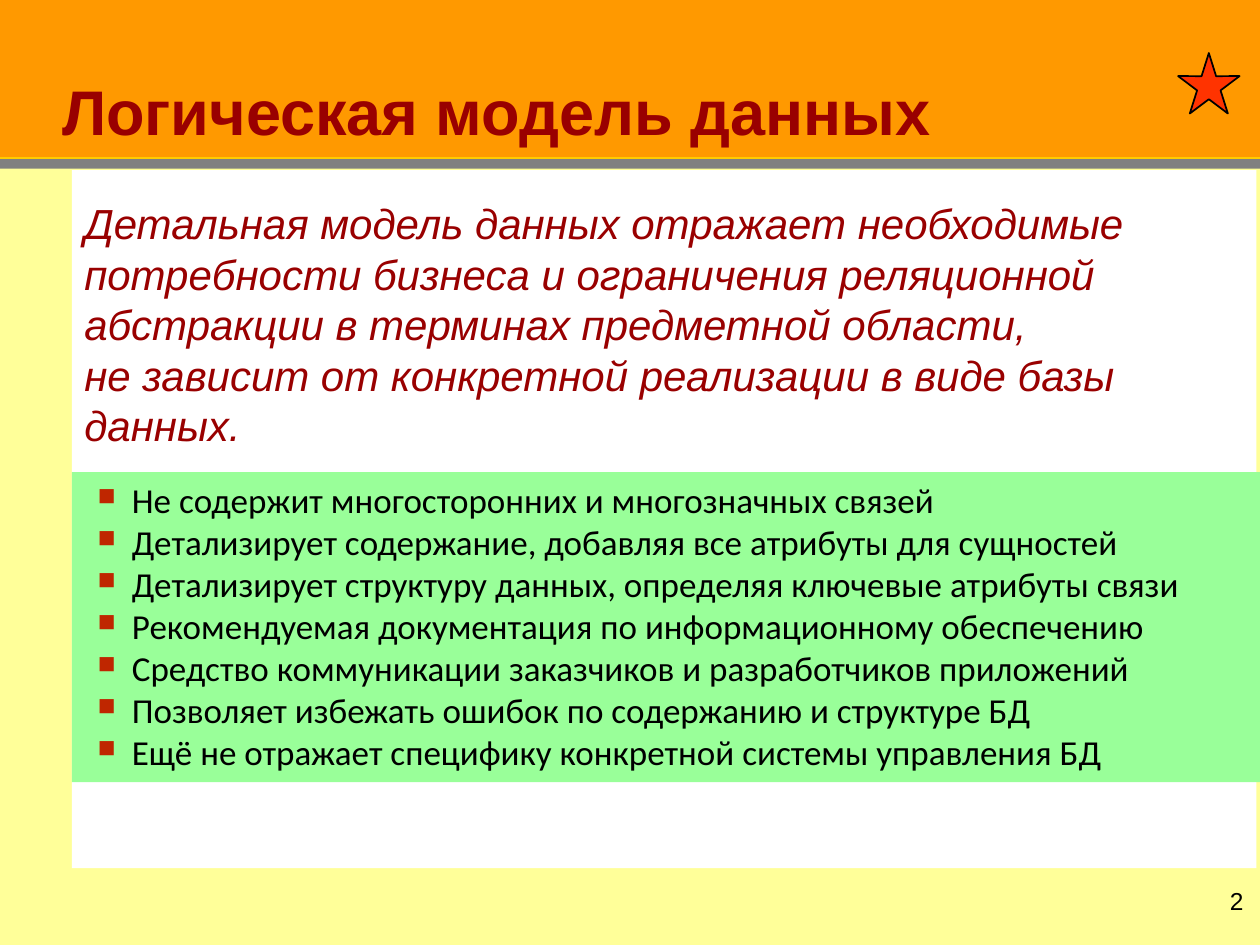
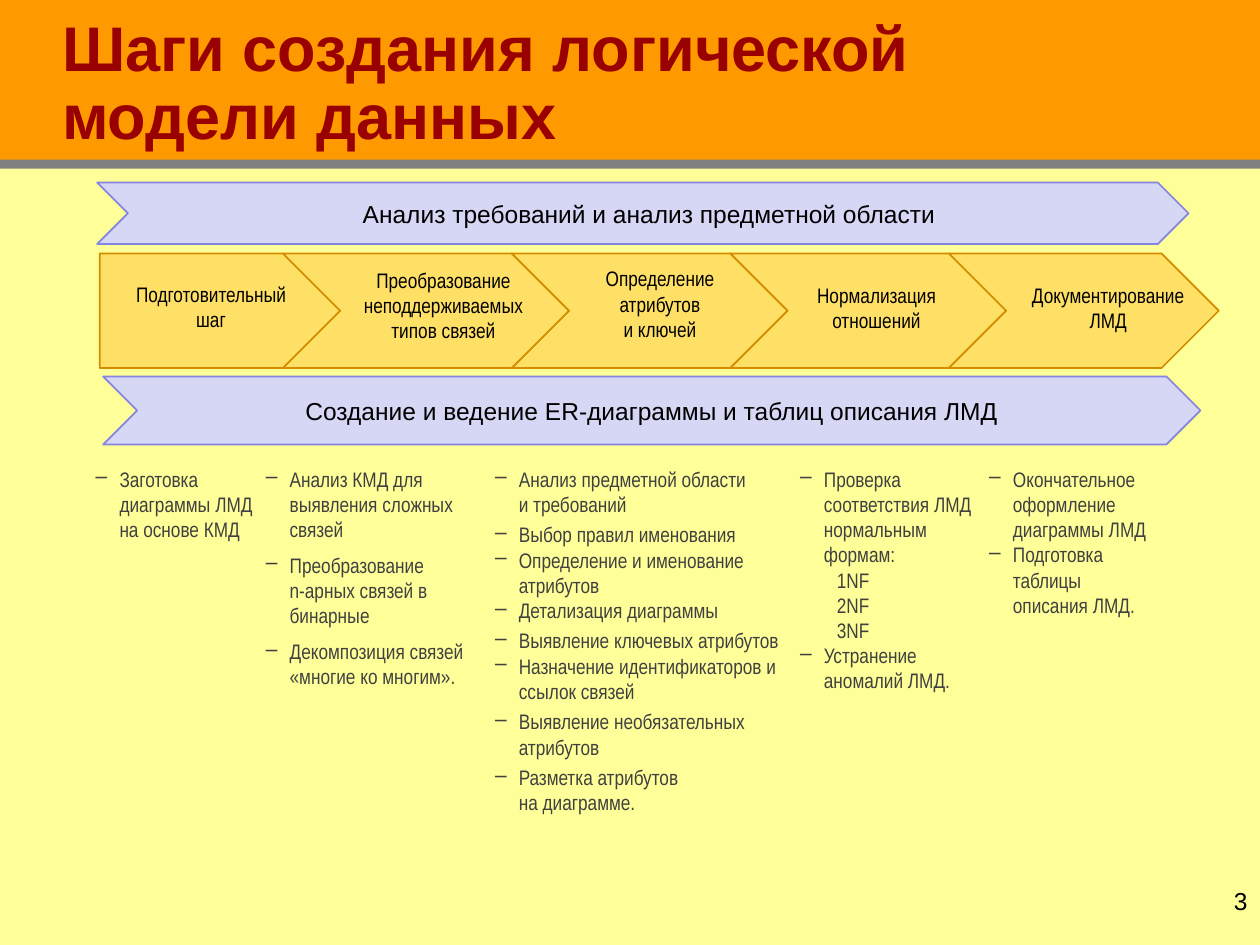
from collections import namedtuple
from copy import deepcopy
from dataclasses import dataclass

from lxml import etree
from pptx import Presentation
from pptx.dml.color import RGBColor
from pptx.enum.shapes import MSO_CONNECTOR, MSO_SHAPE
from pptx.enum.text import MSO_ANCHOR, MSO_AUTO_SIZE, PP_ALIGN
from pptx.oxml.ns import qn
from pptx.util import Cm, Pt

RECTANGLE = MSO_SHAPE.RECTANGLE
PENTAGON = MSO_SHAPE.PENTAGON
CHEVRON = MSO_SHAPE.CHEVRON
STAR = MSO_SHAPE.STAR_5_POINT
LEFT, CENTER, RIGHT = PP_ALIGN.LEFT, PP_ALIGN.CENTER, PP_ALIGN.RIGHT
TOP, MIDDLE, BOTTOM = MSO_ANCHOR.TOP, MSO_ANCHOR.MIDDLE, MSO_ANCHOR.BOTTOM


@dataclass(frozen=True)
class Theme:
    header: str = "FF9900"
    page: str = "FFFF99"
    divider: str = "808080"
    header_line: str = "FFCC00"
    accent_text: str = "990000"
    text: str = "000000"
    soft_text: str = "404040"
    panel: str = "FFFFFF"
    features: str = "99FF99"
    bullet: str = "BF2600"
    star: str = "FF3300"
    step: str = "FFE066"
    step_line: str = "D48C00"
    phase: str = "D6D6F5"
    phase_line: str = "8585E0"
    font: str = "Arial"
    narrow_font: str = "Arial Narrow"
    list_font: str = "Calibri"
    title_size: int = 36
    lead_size: int = 24
    list_size: int = 20
    label_size: int = 14
    step_size: int = 12


THEME = Theme()
SLIDE_WIDTH, SLIDE_HEIGHT = 25.4, 19.05
HEADER_HEIGHT = 3.18
Item = namedtuple("Item", "text after bullet indent", defaults=(0, "–", 0.48))
Step = namedtuple("Step", "width label label_box column_left column_width items")

MODEL_TITLE = "Логическая модель данных"
MODEL_DEFINITION = (
    "Детальная модель данных отражает необходимые потребности бизнеса "
    "и ограничения реляционной абстракции в терминах предметной области,\n"
    "не зависит от конкретной реализации в виде базы данных."
)
MODEL_FEATURES = [
    "Не содержит многосторонних и многозначных связей",
    "Детализирует содержание, добавляя все атрибуты для сущностей",
    "Детализирует структуру данных, определяя ключевые атрибуты связи",
    "Рекомендуемая документация по информационному обеспечению",
    "Средство коммуникации заказчиков и разработчиков приложений",
    "Позволяет избежать ошибок по содержанию и структуре БД",
    "Ещё не отражает специфику конкретной системы управления БД",
]

STEPS_TITLE = "Шаги создания логической\nмодели данных"
# text, box, left indent
PHASES = [
    ("Анализ требований и анализ предметной области", (1.96, 3.68, 22, 1.24), 0.25),
    ("Создание и ведение ER-диаграммы и таблиц описания ЛМД", (2.08, 7.59, 22.12, 1.37), 0),
]
# label_box holds left, top and width
STEPS = [
    Step(4.85, "Подготовительный шаг", (2.39, 5.54, 3.73), 1.68, 3.78, [
        Item("Заготовка\nдиаграммы ЛМД\nна основе КМД", 6),
    ]),
    Step(5.77, "Преобразование неподдерживаемых типов связей", (7.01, 5.26, 3.86), 5.11, 4.88, [
        Item("Анализ КМД для выявления сложных связей", 6),
        Item("Преобразование\nn-арных связей в бинарные", 6),
        Item("Декомпозиция связей «многие ко многим».", 6),
    ]),
    Step(5.56, "Определение атрибутов\nи ключей", (11.91, 5.23, 2.79), 9.73, 6.53, [
        Item("Анализ предметной области\nи требований", 3),
        Item("Выбор правил именования"),
        Item("Определение и именование атрибутов"),
        Item("Детализация диаграммы", 3),
        Item("Выявление ключевых атрибутов"),
        Item("Назначение идентификаторов и ссылок связей", 3),
        Item("Выявление необязательных атрибутов", 3),
        Item("Разметка атрибутов\nна диаграмме.", 3),
    ]),
    Step(5.56, "Нормализация отношений", (15.93, 5.56, 3.48), 15.88, 4.01, [
        Item("Проверка соответствия ЛМД нормальным формам:"),
        *[Item(form, bullet=None, indent=0.74) for form in ("1NF", "2NF", "3NF")],
        Item("Устранение аномалий ЛМД."),
    ]),
    Step(5.44, "Документирование ЛМД", (20.5, 5.56, 3.68), 19.69, 3.76, [
        Item("Окончательное оформление диаграммы ЛМД"),
        Item("Подготовка таблицы описания ЛМД."),
    ]),
]
STEP_LEFT, STEP_TOP, STEP_HEIGHT = 2.01, 5.11, 2.31
COLUMN_TOP = 9.27


def rgb(color):
    return RGBColor.from_string(color)


def set_bullet(paragraph, item, hanging, color=None, percent=None):
    properties = paragraph._p.get_or_add_pPr()
    properties.set("marL", str(Cm(item.indent)))
    if not item.bullet:
        return
    properties.set("indent", str(-Cm(hanging)))
    if color:
        holder = etree.SubElement(properties, qn("a:buClr"))
        etree.SubElement(holder, qn("a:srgbClr")).set("val", color)
    if percent:
        etree.SubElement(properties, qn("a:buSzPct")).set("val", str(percent * 1000))
    etree.SubElement(properties, qn("a:buChar")).set("char", item.bullet)


def write(shape, content, *, size, font=THEME.font, color=THEME.text, bold=False,
          italic=False, align=LEFT, anchor=TOP, line_spacing=None, hanging=0.48,
          bullet_color=None, bullet_percent=None, margin_left=0.25, margin_top=0.13):
    """Fill a shape with a string or a list of Items, all in one format."""
    frame = shape.text_frame
    frame.word_wrap = True
    frame.auto_size = MSO_AUTO_SIZE.NONE
    frame.vertical_anchor = anchor
    frame.margin_left, frame.margin_right = Cm(margin_left), Cm(0.25)
    frame.margin_top, frame.margin_bottom = Cm(margin_top), Cm(0.13)
    items = [Item(content, bullet=None, indent=0)] if isinstance(content, str) else content
    for index, item in enumerate(items):
        paragraph = frame.add_paragraph() if index else frame.paragraphs[0]
        paragraph.text = item.text.replace("\n", "\v")
        set_bullet(paragraph, item, hanging, bullet_color, bullet_percent)
        paragraph.alignment = align
        paragraph.space_before = Pt(0)
        paragraph.space_after = Pt(item.after)
        if line_spacing:
            paragraph.line_spacing = line_spacing
        for run in paragraph.runs:
            run.font.name, run.font.size = font, Pt(size)
            run.font.bold, run.font.italic = bold, italic
            run.font.color.rgb = rgb(color)
        run_format = paragraph._p.find(".//" + qn("a:rPr"))
        for line_break in paragraph._p.findall(qn("a:br")):
            line_break.insert(0, deepcopy(run_format))


def add_box(slide, kind, box, fill, line=None):
    shape = slide.shapes.add_shape(kind, *map(Cm, box))
    shape.shadow.inherit = False
    shape.fill.solid()
    shape.fill.fore_color.rgb = rgb(fill)
    if line:
        shape.line.color.rgb = rgb(line)
        shape.line.width = Pt(1)
    else:
        shape.line.fill.background()
    return shape


def add_text(slide, box, content, **text_format):
    write(slide.shapes.add_textbox(*map(Cm, box)), content, **text_format)


def move_bands_to_layout(slide):
    """Draw the shared bands on a fresh slide, then hand them to its layout."""
    page_height = SLIDE_HEIGHT - HEADER_HEIGHT
    bands = [
        add_box(slide, RECTANGLE, (0, 0, SLIDE_WIDTH, HEADER_HEIGHT), THEME.header),
        add_box(slide, RECTANGLE, (0, HEADER_HEIGHT, SLIDE_WIDTH, page_height), THEME.page),
        add_box(slide, RECTANGLE, (0, 3.2, SLIDE_WIDTH, 0.2), THEME.divider),
    ]
    edge = slide.shapes.add_connector(
        MSO_CONNECTOR.STRAIGHT, Cm(0), Cm(HEADER_HEIGHT), Cm(SLIDE_WIDTH), Cm(HEADER_HEIGHT))
    edge.line.color.rgb = rgb(THEME.header_line)
    edge.line.width = Pt(1)
    etree.SubElement(edge.element.spPr, qn("a:effectLst"))
    tree = slide.slide_layout.shapes.element
    for index, band in enumerate(bands + [edge]):
        band.element.find(".//" + qn("p:cNvPr")).set("id", str(100 + index))
        tree.insert(2 + index, band.element)


def add_slide(presentation, title, number, *, title_height, number_right, line_spacing=None):
    slide = presentation.slides.add_slide(presentation.slide_layouts[5])
    if len(presentation.slides) == 1:
        move_bands_to_layout(slide)
    heading = slide.shapes.title
    heading.left, heading.top = Cm(0), Cm(0.15)
    heading.width, heading.height = Cm(SLIDE_WIDTH), Cm(title_height)
    heading.fill.solid()
    heading.fill.fore_color.rgb = rgb(THEME.header)
    write(heading, title, size=THEME.title_size, color=THEME.accent_text, bold=True,
          anchor=BOTTOM, line_spacing=line_spacing, margin_left=1.25)
    add_text(slide, (number_right - 1.8, 17.73, 1.8, 1.32), number,
             size=THEME.label_size, align=RIGHT)
    return slide


def build_model_slide(presentation):
    slide = add_slide(presentation, MODEL_TITLE, "2", title_height=2.97, number_right=25.32)
    panel = add_box(slide, RECTANGLE, (1.45, 3.43, 23.88, 14.07), THEME.panel)
    write(panel, MODEL_DEFINITION, size=THEME.lead_size, color=THEME.accent_text,
          italic=True, margin_top=0.56)
    features = add_box(slide, RECTANGLE, (1.45, 9.52, 23.95, 6.25), THEME.features)
    write(features, [Item(text, bullet="■", indent=0.96) for text in MODEL_FEATURES],
          size=THEME.list_size, font=THEME.list_font, hanging=0.69,
          bullet_color=THEME.bullet, bullet_percent=70)
    add_box(slide, STAR, (23.75, 1.07, 1.24, 1.22), THEME.star, THEME.text)


def build_steps_slide(presentation):
    slide = add_slide(presentation, STEPS_TITLE, "3", title_height=3.07,
                      number_right=SLIDE_WIDTH, line_spacing=0.9)
    for text, box, indent in PHASES:
        phase = add_box(slide, CHEVRON, box, THEME.phase, THEME.phase_line)
        write(phase, [Item(text, bullet=None, indent=indent)], size=THEME.label_size,
              align=CENTER, anchor=MIDDLE)

    left = STEP_LEFT
    for index, step in enumerate(STEPS):
        add_box(slide, CHEVRON if index else PENTAGON,
                (left, STEP_TOP, step.width, STEP_HEIGHT), THEME.step, THEME.step_line)
        left += step.width - STEP_HEIGHT / 2  # each notch takes the previous tip
    for step in STEPS:
        add_text(slide, (*step.label_box, 1.8), step.label, size=THEME.step_size,
                 font=THEME.narrow_font, align=CENTER)
        add_text(slide, (step.column_left, COLUMN_TOP, step.column_width, 7.34), step.items,
                 size=THEME.step_size, font=THEME.narrow_font, color=THEME.soft_text)


def main():
    presentation = Presentation()
    presentation.slide_width = Cm(SLIDE_WIDTH)
    presentation.slide_height = Cm(SLIDE_HEIGHT)
    build_model_slide(presentation)
    build_steps_slide(presentation)
    presentation.save("out.pptx")


if __name__ == "__main__":
    main()
